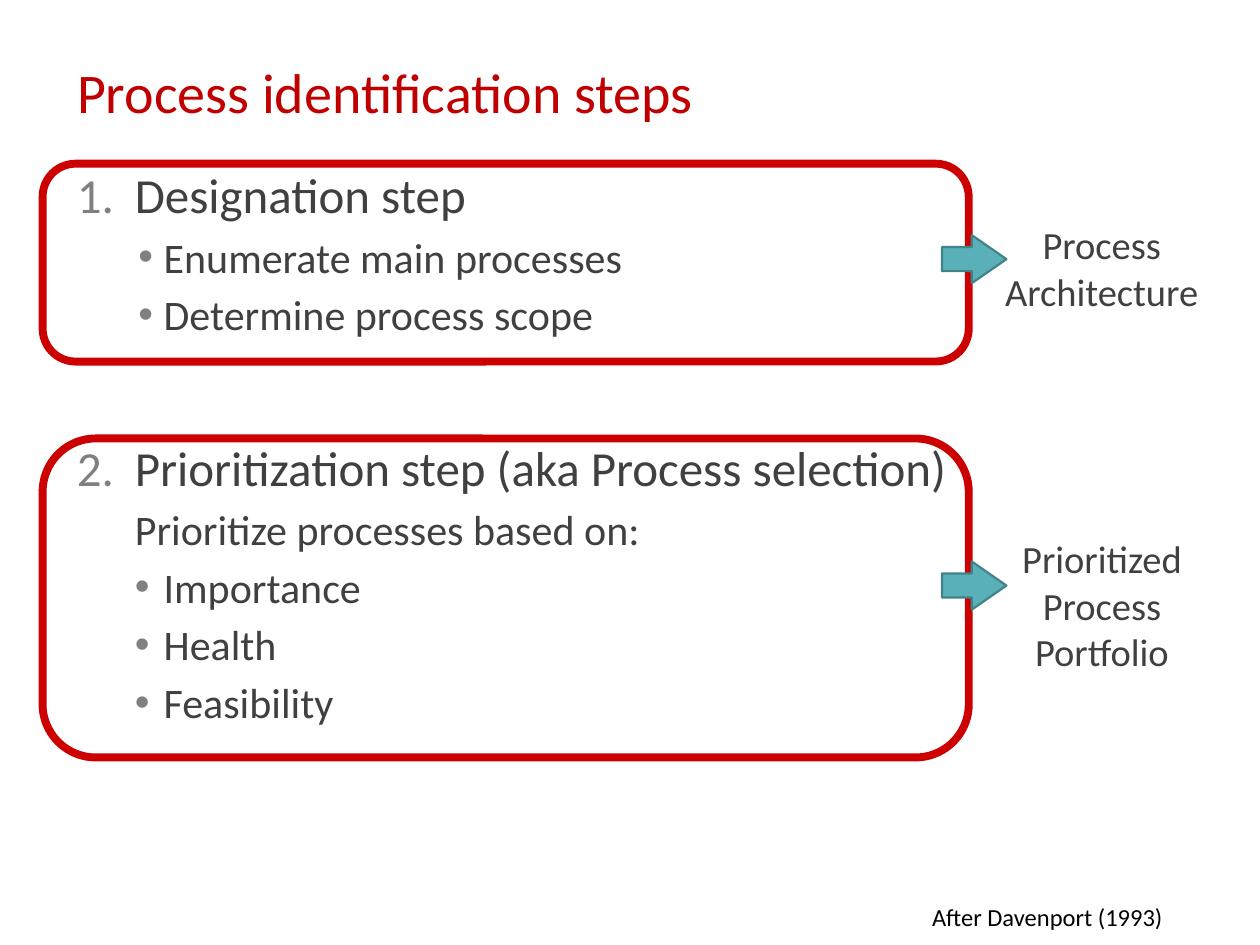
from dataclasses import dataclass

from lxml.etree import SubElement
from pptx import Presentation
from pptx.dml.color import RGBColor
from pptx.enum.shapes import MSO_SHAPE as Preset
from pptx.enum.text import MSO_ANCHOR as Anchor, PP_ALIGN as Align
from pptx.oxml.ns import qn
from pptx.util import Cm, Pt

TITLE_RED = RGBColor(0xC0, 0x00, 0x00)
FRAME_RED = RGBColor(0xCC, 0x00, 0x00)
TEAL = RGBColor(0x59, 0xB0, 0xB9)
DARK_TEAL = RGBColor(0x42, 0x82, 0x89)
TEXT_GREY = RGBColor(0x40, 0x40, 0x40)
BULLET_GREY = RGBColor(0x80, 0x80, 0x80)
BLACK = RGBColor(0x00, 0x00, 0x00)


@dataclass
class Sketch:
    """Draws styled elements on one slide."""
    page: object
    typeface: str = "Calibri"

    def style(self, para, size, color, align=Align.LEFT):
        para.alignment = align
        para.font.name = self.typeface
        para.font.size = Pt(size)
        para.font.color.rgb = color

    def title(self, text, *area):
        box = self.page.shapes.title
        box.left, box.top, box.width, box.height = map(Cm, area)
        box.text_frame.text = text
        box.text_frame.vertical_anchor = Anchor.MIDDLE
        self.style(box.text_frame.paragraphs[0], 32, TITLE_RED)

    def frame(self, *area, wrap=True):
        frame = self.page.shapes.add_textbox(*map(Cm, area)).text_frame
        frame.word_wrap = wrap
        return frame

    def label(self, text, *area, size=22, color=TEXT_GREY, align=Align.CENTER, wrap=True):
        frame = self.frame(*area, wrap=wrap)
        frame.text = text
        for para in frame.paragraphs:
            self.style(para, size, color, align)

    def bullet(self, para, margin, hanging, number=None):
        props = para._p.get_or_add_pPr()
        props.set("marL", str(Cm(margin)))
        props.set("indent", str(-Cm(hanging)))
        if not hanging:
            SubElement(props, qn("a:buNone"))
            return
        SubElement(SubElement(props, qn("a:buClr")), qn("a:srgbClr"), val=str(BULLET_GREY))
        if number:
            SubElement(props, qn("a:buFont"), typeface=self.typeface)
            SubElement(props, qn("a:buAutoNum"), type="arabicPeriod", startAt=str(number))
        else:
            SubElement(props, qn("a:buFont"), typeface="Arial")
            SubElement(props, qn("a:buChar"), char="•")

    def outline(self, items, *area):
        frame = self.frame(*area)
        for index, (text, size, before, margin, hanging, number) in enumerate(items):
            para = frame.add_paragraph() if index else frame.paragraphs[0]
            para.text = text
            para.space_before = Pt(before)
            self.bullet(para, margin, hanging, number)
            self.style(para, size, TEXT_GREY)

    def shape(self, preset, area, line, width, fill=None):
        shape = self.page.shapes.add_shape(preset, *map(Cm, area))
        shape.shadow.inherit = False
        shape.line.color.rgb = line
        shape.line.width = Pt(width)
        if fill is None:
            shape.fill.background()
        else:
            shape.fill.solid()
            shape.fill.fore_color.rgb = fill
        return shape

    def panel(self, top, height):
        self.shape(Preset.ROUNDED_RECTANGLE, (0.86, top, 18.67, height), FRAME_RED, 4.5)

    def arrow(self, top):
        arrow = self.shape(Preset.RIGHT_ARROW, (18.99, top, 1.3, 0.97), DARK_TEAL, 1.25, TEAL)
        arrow.adjustments[1] = 0.72


def step(text, number, before):
    return text, 28, before, 1.17, 1.17, number


def detail(text, hanging):
    return text, 24, 4.2, 1.75 if hanging else 1.17, hanging, None


deck = Presentation()
deck.slide_width, deck.slide_height = Cm(25.4), Cm(19.05)
sketch = Sketch(deck.slides.add_slide(deck.slide_layouts[5]))

sketch.title("Process identification steps", 1.3, 0.74, 22.4, 2.21)
sketch.outline([
    step("Designation step", 1, 0),
    detail("Enumerate main processes", 0.51),
    detail("Determine process scope", 0.51),
    step("Prioritization step (aka Process selection)", 2, 56),
    detail("Prioritize processes based on:", 0),
    *[detail(text, 0.58) for text in ("Importance", "Health", "Feasibility")],
], 1.3, 3.2, 22.61, 13.41)
sketch.label("After Davenport (1993)", 18.54, 18.06, 5.54, 0.84,
             size=14, color=BLACK, align=Align.LEFT, wrap=False)
sketch.label("Process Architecture", 19.2, 4.34, 6.02, 1.83)
sketch.label("Prioritized\vProcess\vPortfolio", 19.56, 10.67, 5.31, 1.83)
for panel_top, panel_height, arrow_top in ((3.3, 3.99, 4.74), (8.84, 6.43, 11.32)):
    sketch.panel(panel_top, panel_height)
    sketch.arrow(arrow_top)

deck.save("out.pptx")
